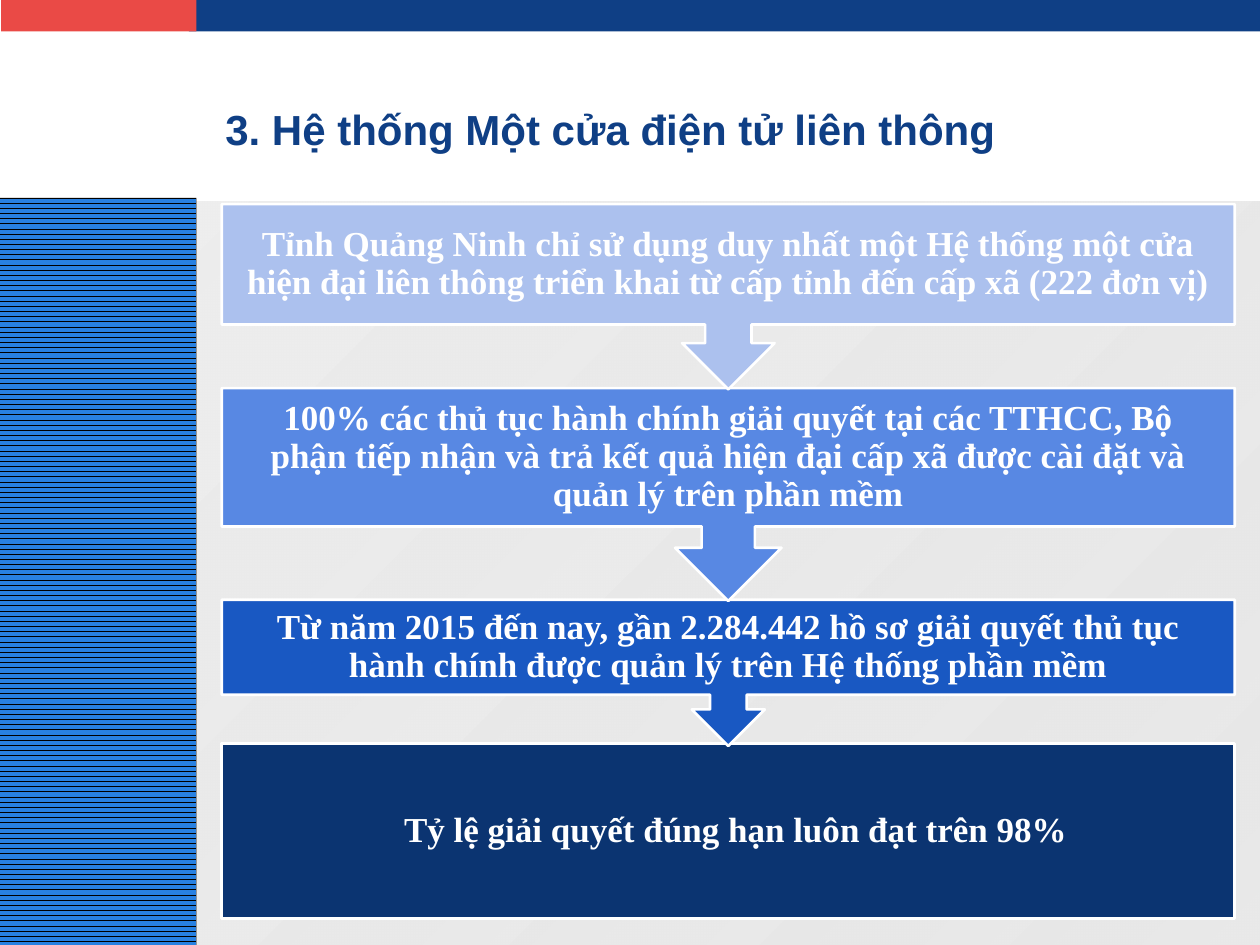
from dataclasses import dataclass

from lxml import etree
from pptx import Presentation
from pptx import util as u
from pptx.dml.color import RGBColor
from pptx.enum import dml, shapes, text
from pptx.oxml.ns import qn


@dataclass(frozen=True)
class Theme:
    navy: str = "0F3F85"
    red: str = "EA4A46"
    white: str = "FFFFFF"
    stripe: str = "2881E2"
    stripe_gap: str = "000000"
    panel_start: str = "EEEEEE"
    panel_end: str = "DDDDDD"
    panel_end_alpha: int = 64
    title_font: str = "Arial"
    title_size: int = 24
    step_font: str = "Times New Roman"
    step_size: int = 20
    outline: float = 1.5


@dataclass(frozen=True)
class Area:
    left: float
    top: float
    width: float
    height: float

    def lengths(self) -> list:
        return [u.Inches(n) for n in (self.left, self.top, self.width, self.height)]


@dataclass(frozen=True)
class Step:
    wording: str
    top: float
    height: float
    color: str
    points_down: bool = True
    indent: float = 0


THEME = Theme()
STEP_LEFT, STEP_WIDTH = 1.76, 8.04
STEP_INSET = 0.16
CALLOUT_BODY = 0.65  # share of a callout's height above its arrow

STEPS = [
    Step("Tỉnh Quảng Ninh chỉ sử dụng duy nhất một Hệ thống một cửa hiện đại "
         "liên thông triển khai từ cấp tỉnh đến cấp xã (222 đơn vị)",
         1.62, 1.47, "ACC1EE"),
    Step("100% các thủ tục hành chính giải quyết tại các TTHCC, Bộ phận tiếp nhận "
         "và trả kết quả hiện đại cấp xã được cài đặt và quản lý trên phần mềm",
         3.08, 1.69, "5888E3"),
    Step("Từ năm 2015 đến nay, gần 2.284.442 hồ sơ giải quyết thủ tục hành chính "
         "được quản lý trên Hệ thống phần mềm",
         4.76, 1.16, "1958C2"),
    Step("Tỷ lệ giải quyết đúng hạn luôn đạt trên 98%",
         5.9, 1.39, "0B3471", points_down=False, indent=0.12),
]


def rgb(color: str) -> RGBColor:
    return RGBColor.from_string(color)


def add_block(page, area: Area, color: str, kind=shapes.MSO_SHAPE.RECTANGLE):
    block = page.shapes.add_shape(kind, *area.lengths())
    block.shadow.inherit = False
    block.fill.solid()
    block.fill.fore_color.rgb = rgb(color)
    block.line.fill.background()
    return block


def add_label(page, area: Area, wording: str, font: str, size: int, color: str):
    box = page.shapes.add_textbox(*area.lengths())
    frame = box.text_frame
    frame.word_wrap = True
    frame.vertical_anchor = text.MSO_ANCHOR.MIDDLE
    para = frame.paragraphs[0]
    para.text = wording
    para.font.name = font
    para.font.size = u.Pt(size)
    para.font.bold = True
    para.font.color.rgb = rgb(color)
    return frame


def add_panel(page, area: Area) -> None:
    fill = add_block(page, area, THEME.panel_start).fill
    fill.gradient()
    fill.gradient_angle = 315
    start, end = fill.gradient_stops
    start.position, end.position = 0, 1
    start.color.rgb = rgb(THEME.panel_start)
    end.color.rgb = rgb(THEME.panel_end)
    # Transparency of the last stop
    last_color = fill._xPr.findall(".//" + qn("a:srgbClr"))[-1]
    alpha = etree.SubElement(last_color, qn("a:alpha"))
    alpha.set("val", str(THEME.panel_end_alpha * 1000))


def add_stripes(page, area: Area) -> None:
    fill = add_block(page, area, THEME.stripe).fill
    fill.patterned()
    fill.pattern = dml.MSO_PATTERN.DARK_HORIZONTAL
    fill.fore_color.rgb = rgb(THEME.stripe)
    fill.back_color.rgb = rgb(THEME.stripe_gap)


def add_step(page, step: Step) -> None:
    area = Area(STEP_LEFT, step.top, STEP_WIDTH, step.height)
    label_height = step.height
    if step.points_down:
        block = add_block(page, area, step.color, shapes.MSO_SHAPE.UP_ARROW_CALLOUT)
        block.rotation = 180
        label_height *= CALLOUT_BODY
    else:
        block = add_block(page, area, step.color)
    block.line.color.rgb = rgb(THEME.white)
    block.line.width = u.Pt(THEME.outline)

    label_area = Area(STEP_LEFT, step.top, STEP_WIDTH, label_height)
    frame = add_label(page, label_area, step.wording,
                      THEME.step_font, THEME.step_size, THEME.white)
    frame.margin_left = u.Inches(STEP_INSET + step.indent)
    frame.margin_right = frame.margin_top = frame.margin_bottom = u.Inches(STEP_INSET)
    para = frame.paragraphs[0]
    para.alignment = text.PP_ALIGN.CENTER
    para.line_spacing = 0.9


def main() -> None:
    deck = Presentation()
    deck.slide_width, deck.slide_height = u.Inches(10), u.Inches(7.5)
    page = deck.slides.add_slide(deck.slide_layouts[6])

    # Background bands
    add_block(page, Area(1.5, 0, 8.5, 0.25), THEME.navy)
    add_panel(page, Area(0, 1.6, 10, 5.9))
    add_stripes(page, Area(0, 1.57, 1.56, 5.93))
    add_block(page, Area(0.01, 0, 1.55, 0.25), THEME.red)

    # Title
    add_label(page, Area(1.69, 0.76, 7.74, 0.53),
              "3. Hệ thống Một cửa điện tử liên thông",
              THEME.title_font, THEME.title_size, THEME.navy)

    # Steps, last one first so that each arrow tip lies over the next block
    for step in reversed(STEPS):
        add_step(page, step)

    deck.save("out.pptx")


if __name__ == "__main__":
    main()
